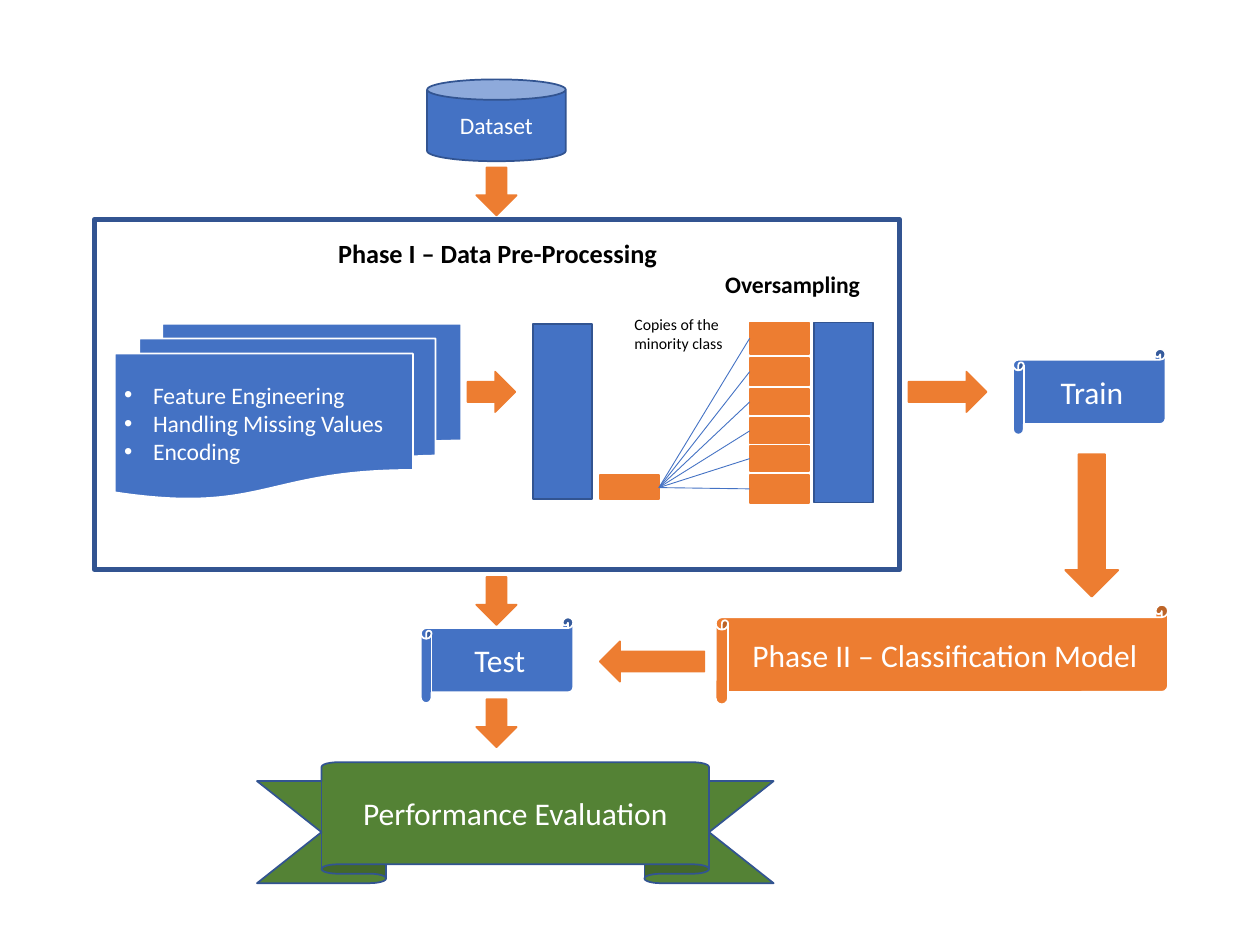
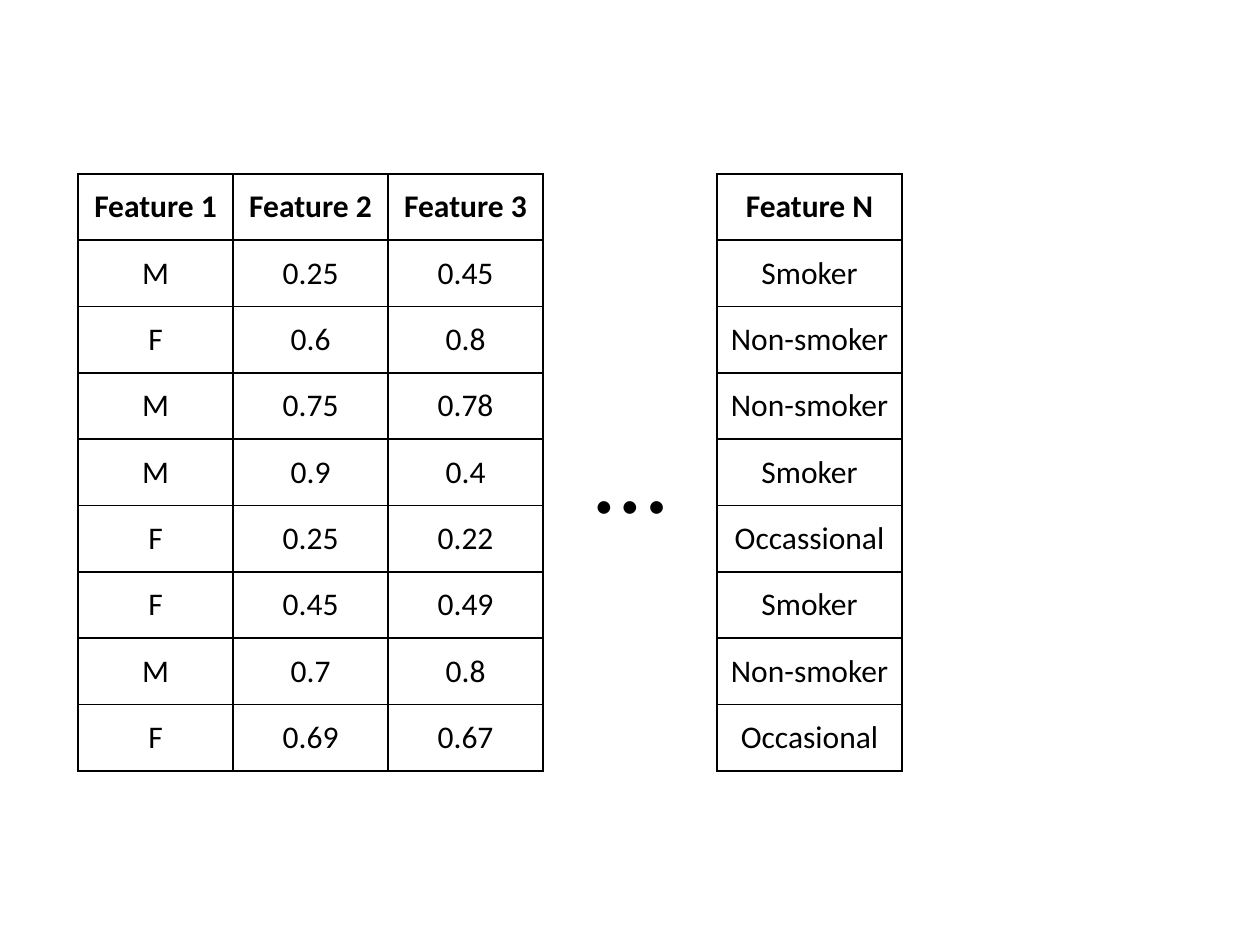
from dataclasses import dataclass

from lxml import etree
from pptx import Presentation
from pptx.dml.color import RGBColor
from pptx.enum.shapes import MSO_CONNECTOR, MSO_SHAPE
from pptx.enum.text import MSO_ANCHOR, PP_ALIGN
from pptx.oxml.ns import qn
from pptx.util import Inches, Pt

LEFT, CENTER = PP_ALIGN.LEFT, PP_ALIGN.CENTER
TOP, MIDDLE = MSO_ANCHOR.TOP, MSO_ANCHOR.MIDDLE
RECTANGLE, CAN = MSO_SHAPE.RECTANGLE, MSO_SHAPE.CAN
ARROW, SCROLL = MSO_SHAPE.RIGHT_ARROW, MSO_SHAPE.HORIZONTAL_SCROLL
DOCUMENTS = MSO_SHAPE.FLOWCHART_MULTIDOCUMENT
RIBBON = MSO_SHAPE.UP_RIBBON
STRAIGHT = MSO_CONNECTOR.STRAIGHT


@dataclass(frozen=True)
class Theme:
    font: str = "Calibri"
    blue: str = "4472C4"
    navy: str = "325491"
    orange: str = "ED7D31"
    green: str = "548235"
    white: str = "FFFFFF"
    black: str = "000000"
    note: float = 9
    label: float = 13.5
    title: float = 15
    body: float = 18
    dots: float = 60
    inset_x: float = 0.075
    inset_y: float = 0.04


THEME = Theme()


def color(value):
    return RGBColor.from_string(value)


def write(frame, lines, size, ink, bold=False, align=CENTER, anchor=MIDDLE):
    """Fill a text frame, one paragraph for each line."""
    frame.text = "\n".join(lines)
    frame.word_wrap = True
    frame.vertical_anchor = anchor
    frame.margin_left = frame.margin_right = Inches(THEME.inset_x)
    frame.margin_top = frame.margin_bottom = Inches(THEME.inset_y)
    for paragraph in frame.paragraphs:
        paragraph.alignment = align
        style(paragraph, size, ink, bold)


def style(paragraph, size, ink, bold):
    for run in paragraph.runs:
        run.font.name = THEME.font
        run.font.size = Pt(size)
        run.font.bold = bold
        run.font.color.rgb = color(ink)


def add_bullets(frame, indent):
    for paragraph in frame.paragraphs:
        properties = paragraph._p.get_or_add_pPr()
        properties.set("marL", str(Inches(indent)))
        properties.set("indent", str(-Inches(indent)))
        etree.SubElement(properties, qn("a:buFont")).set("typeface", "Arial")
        etree.SubElement(properties, qn("a:buChar")).set("char", "•")


def add_box(slide, kind, box, fill, line, width=1):
    shape = slide.shapes.add_shape(kind, *map(Inches, box))
    shape.shadow.inherit = False
    if fill:
        shape.fill.solid()
        shape.fill.fore_color.rgb = color(fill)
    else:
        shape.fill.background()
    shape.line.color.rgb = color(line)
    shape.line.width = Pt(width)
    return shape


def add_label(slide, box, text, size, **options):
    text_box = slide.shapes.add_textbox(*map(Inches, box))
    write(text_box.text_frame, [text], size, THEME.black, **options)


def add_arrow(slide, box, rotation=0):
    """The box is that of the arrow before it is turned."""
    arrow = add_box(slide, ARROW, box, THEME.orange, THEME.orange)
    arrow.rotation = rotation


def add_line(slide, start, end):
    line = slide.shapes.add_connector(STRAIGHT, *map(Inches, start + end))
    line.line.color.rgb = color(THEME.blue)
    line.line.width = Pt(0.5)
    etree.SubElement(line._element.spPr, qn("a:effectLst"))


def add_step(slide, kind, box, text, fill, line, size=THEME.body):
    step = add_box(slide, kind, box, fill, line)
    write(step.text_frame, [text], size, THEME.white)
    return step


def add_oversampling(slide, left, top):
    """Class bars before and after the minority class is copied."""
    bar = 0.47
    add_box(slide, RECTANGLE, (left, top + 0.01, bar, 1.39), THEME.blue, THEME.navy)
    minority = (left + 0.53, top + 1.21, bar, 0.19)
    add_box(slide, RECTANGLE, minority, THEME.orange, THEME.orange)
    add_box(slide, RECTANGLE, (left + 2.23, top, bar, 1.43), THEME.blue, THEME.navy)

    source = (left + 1, top + 1.31)
    copies_left = left + 1.72
    copies = [(0, 0.25), (0.28, 0.22), (0.53, 0.2),
              (0.76, 0.2), (0.98, 0.2), (1.21, 0.22)]
    for offset, height in copies:
        copy_box = (copies_left, top + offset, bar, height)
        add_box(slide, RECTANGLE, copy_box, THEME.orange, THEME.orange)
    for offset, height in copies:
        add_line(slide, source, (copies_left, top + offset + height / 2))

    add_label(slide, (left + 1.45, top - 0.46, 1.29, 0.33), "Oversampling",
              THEME.label, bold=True, align=LEFT, anchor=TOP)
    add_label(slide, (left + 0.73, top - 0.1, 0.91, 0.4),
              "Copies of the minority class", THEME.note, align=LEFT, anchor=TOP)


def add_preprocessing(slide, box):
    """Phase I: the framed panel with its documents and class bars."""
    left, top, width, height = box
    add_box(slide, RECTANGLE, box, None, THEME.navy, 3)
    add_label(slide, (left + 1.47, top + 0.1, 3.46, 0.35),
              "Phase I – Data Pre-Processing", THEME.title, bold=True, anchor=TOP)

    documents = add_box(slide, DOCUMENTS, (left + 0.16, top + 0.83, 2.75, 1.39),
                        THEME.blue, THEME.white)
    tasks = ["Feature Engineering", "Handling Missing Values", "Encoding"]
    write(documents.text_frame, tasks, THEME.label, THEME.white, align=LEFT)
    add_bullets(documents.text_frame, 0.23)

    add_arrow(slide, (left + 2.96, top + 1.21, 0.38, 0.32))
    add_oversampling(slide, left + 3.48, top + 0.82)


def build_workflow(slide):
    add_step(slide, CAN, (3.39, 0.63, 1.1, 0.65), "Dataset",
             THEME.blue, THEME.navy, THEME.label)
    add_preprocessing(slide, (0.75, 1.74, 6.39, 2.78))

    # Arrows between the steps
    for top in (1.36, 4.61, 5.58):
        add_arrow(slide, (3.75, top, 0.38, 0.32), 90)
    add_arrow(slide, (7.21, 2.95, 0.62, 0.32))
    add_arrow(slide, (8.1, 3.96, 1.13, 0.42), 90)
    add_arrow(slide, (4.76, 5.09, 0.83, 0.32), 180)

    # Train, model and test scrolls
    scrolls = [
        ("Train", (8.04, 2.77, 1.21, 0.68), THEME.blue),
        ("Phase II – Classification Model", (5.68, 4.8, 3.59, 0.79), THEME.orange),
        ("Test", (3.34, 4.9, 1.21, 0.68), THEME.blue),
    ]
    for text, box, fill in scrolls:
        add_step(slide, SCROLL, box, text, fill, THEME.white)

    # Closing ribbon
    ribbon = add_step(slide, RIBBON, (2.04, 6.05, 4.1, 0.96),
                      "Performance Evaluation", THEME.green, THEME.navy)
    ribbon.adjustments[0] = 0.156
    ribbon.adjustments[1] = 0.75


def add_borders(cell):
    """Black lines on all four sides, placed before the cell fill."""
    properties = cell._tc.get_or_add_tcPr()
    for index, side in enumerate(("lnL", "lnR", "lnT", "lnB")):
        border = etree.Element(qn(f"a:{side}"), w=str(Pt(1)))
        fill = etree.SubElement(border, qn("a:solidFill"))
        etree.SubElement(fill, qn("a:srgbClr")).set("val", THEME.black)
        properties.insert(index, border)


def add_grid(slide, box, rows):
    """A plain ruled table with a bold first row."""
    width, height = box[2:]
    column_count = len(rows[0])
    frame = slide.shapes.add_table(len(rows), column_count, *map(Inches, box))
    table = frame.table
    table.first_row = table.horz_banding = False
    for column in table.columns:
        column.width = Inches(width / column_count)
    for row in table.rows:
        row.height = Inches(height / len(rows))
    for row_index, values in enumerate(rows):
        for column_index, value in enumerate(values):
            cell = table.cell(row_index, column_index)
            cell.text = value
            cell.vertical_anchor = MIDDLE
            cell.margin_left = cell.margin_right = Inches(THEME.inset_x)
            cell.fill.background()
            add_borders(cell)
            paragraph = cell.text_frame.paragraphs[0]
            paragraph.alignment = CENTER
            style(paragraph, THEME.body, THEME.black, row_index == 0)


def build_features(slide):
    features = [
        ("Feature 1", "Feature 2", "Feature 3"),
        ("M", "0.25", "0.45"),
        ("F", "0.6", "0.8"),
        ("M", "0.75", "0.78"),
        ("M", "0.9", "0.4"),
        ("F", "0.25", "0.22"),
        ("F", "0.45", "0.49"),
        ("M", "0.7", "0.8"),
        ("F", "0.69", "0.67"),
    ]
    last_feature = ["Feature N", "Smoker", "Non-smoker", "Non-smoker", "Smoker",
                    "Occassional", "Smoker", "Non-smoker", "Occasional"]
    top, height = 1.38, 4.74
    add_grid(slide, (0.62, top, 3.69, height), features)
    add_grid(slide, (5.69, top, 1.47, height), [(value,) for value in last_feature])
    add_label(slide, (4.34, 3.19, 1.33, 1.11), "…", THEME.dots)


def main():
    presentation = Presentation()
    presentation.slide_width = Inches(10)
    presentation.slide_height = Inches(7.5)
    blank = presentation.slide_layouts[6]
    for build in (build_workflow, build_features):
        build(presentation.slides.add_slide(blank))
    presentation.save("out.pptx")


main()
